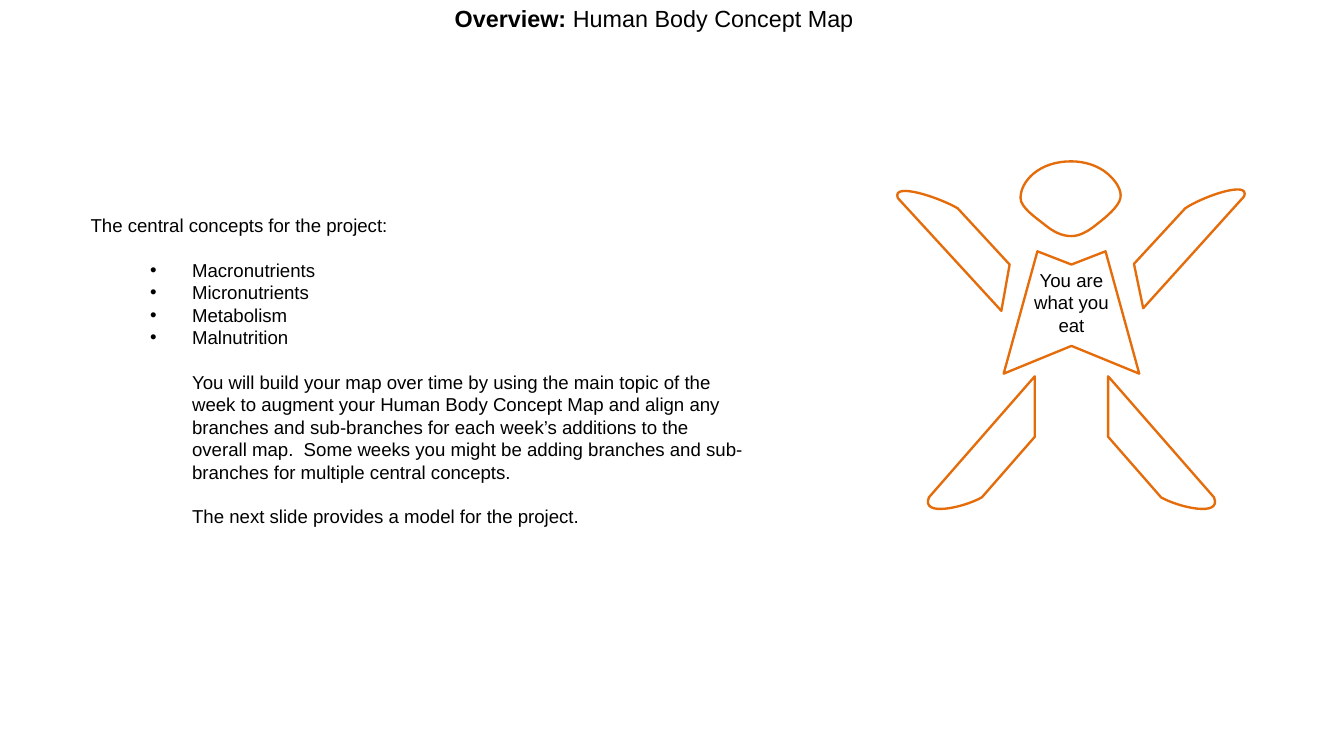
from dataclasses import dataclass

from lxml import etree
from pptx import Presentation
from pptx.dml.color import RGBColor
from pptx.enum import text as txt
from pptx.oxml import ns
from pptx.util import Cm, Pt


@dataclass(frozen=True)
class Theme:
    font: str = "Arial"
    ink: RGBColor = RGBColor(0x00, 0x00, 0x00)
    outline: RGBColor = RGBColor(0xE4, 0x6C, 0x0A)
    title: Pt = Pt(20)
    body: Pt = Pt(16)
    line: Pt = Pt(2)
    gap: Pt = Pt(19.2)


THEME = Theme()

# Figure outlines in cm: a pair is a corner, six numbers are a Bezier curve
AXIS = 32.4
HEAD = [(30.86, 5.99),
        (30.86, 5.72, 31.01, 5.46, 31.24, 5.26),
        (31.55, 5.0, 31.95, 4.88, 32.39, 4.88),
        (32.79, 4.88, 33.2, 5.0, 33.5, 5.26),
        (33.73, 5.46, 33.93, 5.74, 33.88, 5.99),
        (33.83, 6.25, 33.43, 6.58, 33.17, 6.78),
        (32.89, 7.01, 32.64, 7.14, 32.39, 7.14),
        (32.11, 7.14, 31.85, 7.01, 31.57, 6.78),
        (31.32, 6.58, 30.86, 6.27, 30.86, 5.99)]
RIGHT_ARM = [(34.29, 7.98), (35.84, 6.3),
             (36.37, 5.94, 37.82, 5.44, 37.62, 5.94), (34.57, 9.32)]
LEFT_ARM = [(30.53, 8.0), (28.96, 6.3),
            (28.4, 5.97, 26.95, 5.49, 27.15, 5.99), (30.28, 9.4)]
LEFT_LEG = [(29.69, 15.04), (31.29, 13.21), (31.29, 11.38), (28.09, 15.04),
            (27.84, 15.65, 29.16, 15.34, 29.69, 15.04)]
SHIRT_HALF = [(AXIS, 10.46), (30.35, 11.3), (31.37, 7.6), (AXIS, 8.0)]

CONCEPTS = ["Macronutrients", "Micronutrients", "Metabolism", "Malnutrition"]
TASK = ("You will build your map over time by using the main topic of the week "
        "to augment your Human Body Concept Map and align any branches and "
        "sub-branches for each week’s additions to the overall map.  Some weeks "
        "you might be adding branches and sub-branches for multiple central "
        "concepts.")


def mirror(outline):
    """Reflect an outline across the figure's vertical axis."""
    return [tuple(round(2 * AXIS - v, 2) if i % 2 == 0 else v
                  for i, v in enumerate(step)) for step in outline]


def bend(sp, outline):
    """Turn the straight segments that stand for curves into Bezier curves."""
    left, top = (min(step[i] for step in outline) for i in (-2, -1))
    segments = list(sp.element.iter(ns.qn("a:lnTo")))
    for segment, step in zip(segments, outline[1:]):
        if len(step) == 2:
            continue
        segment.tag = ns.qn("a:cubicBezTo")
        controls = zip(step[:4:2], step[1:4:2])
        for i, (x, y) in enumerate(controls):
            pt = etree.Element(ns.qn("a:pt"), x=str(Cm(x) - Cm(left)),
                               y=str(Cm(y) - Cm(top)))
            segment.insert(i, pt)


def add_outline(shapes, outline):
    points = [(Cm(step[-2]), Cm(step[-1])) for step in outline]
    builder = shapes.build_freeform(*points[0])
    builder.add_line_segments(points[1:], close=True)
    sp = builder.convert_to_shape()
    bend(sp, outline)
    sp.shadow.inherit = False
    sp.fill.background()
    sp.line.color.rgb = THEME.outline
    sp.line.width = THEME.line


def add_box(shapes, left, top, width, height):
    tf = shapes.add_textbox(Cm(left), Cm(top), Cm(width), Cm(height)).text_frame
    tf.word_wrap = True
    return tf


def add_run(p, content, size=THEME.body, bold=False):
    r = p.add_run()
    r.text = content
    r.font.name = THEME.font
    r.font.size = size
    r.font.bold = bold
    r.font.color.rgb = THEME.ink


def add_text(tf, content, align=None, indent=0, bullet=False, gap=False, **font):
    """Write one paragraph, using the empty first one when it is free."""
    p = tf.paragraphs[0] if not tf.paragraphs[0].runs else tf.add_paragraph()
    p.alignment = align
    if gap:
        p.space_before = THEME.gap
    pPr = p._p.get_or_add_pPr()
    pPr.set("marL", str(Cm(indent)))
    pPr.set("indent", str(Cm(-1.27 if bullet else 0)))
    if bullet:
        etree.SubElement(pPr, ns.qn("a:buFont"), typeface=THEME.font)
        etree.SubElement(pPr, ns.qn("a:buChar"), char="•")
    add_run(p, content, **font)
    return p


def add_concepts(s):
    tf = add_box(s.shapes, 2.49, 6.35, 20.32, 10.16)
    add_text(tf, "The central concepts for the project:")
    for i, concept in enumerate(CONCEPTS):
        add_text(tf, concept, indent=3.07, bullet=True, gap=i == 0)
    for content in (TASK, "The next slide provides a model for the project."):
        add_text(tf, content, indent=3.07, gap=True)


def add_figure(s):
    shapes = s.shapes.add_group_shape().shapes
    shirt = SHIRT_HALF + mirror(SHIRT_HALF)[-2:0:-1]
    for outline in (HEAD, RIGHT_ARM, LEFT_ARM, LEFT_LEG, mirror(LEFT_LEG), shirt):
        add_outline(shapes, outline)
    tf = add_box(shapes, 30.94, 8.0, 2.92, 2.97)
    add_text(tf, "You are what you eat", align=txt.PP_ALIGN.CENTER)


def add_title(s):
    tf = add_box(s.shapes, 2.51, 0, 34.54, 2.74)
    p = add_text(tf, "Overview:", align=txt.PP_ALIGN.CENTER,
                 size=THEME.title, bold=True)
    add_run(p, " Human Body Concept Map", size=THEME.title)


def main():
    prs = Presentation()
    prs.slide_width, prs.slide_height = Cm(40.64), Cm(22.86)
    s = prs.slides.add_slide(prs.slide_layouts[6])
    add_concepts(s)
    add_figure(s)
    add_title(s)
    prs.save("out.pptx")


if __name__ == "__main__":
    main()
